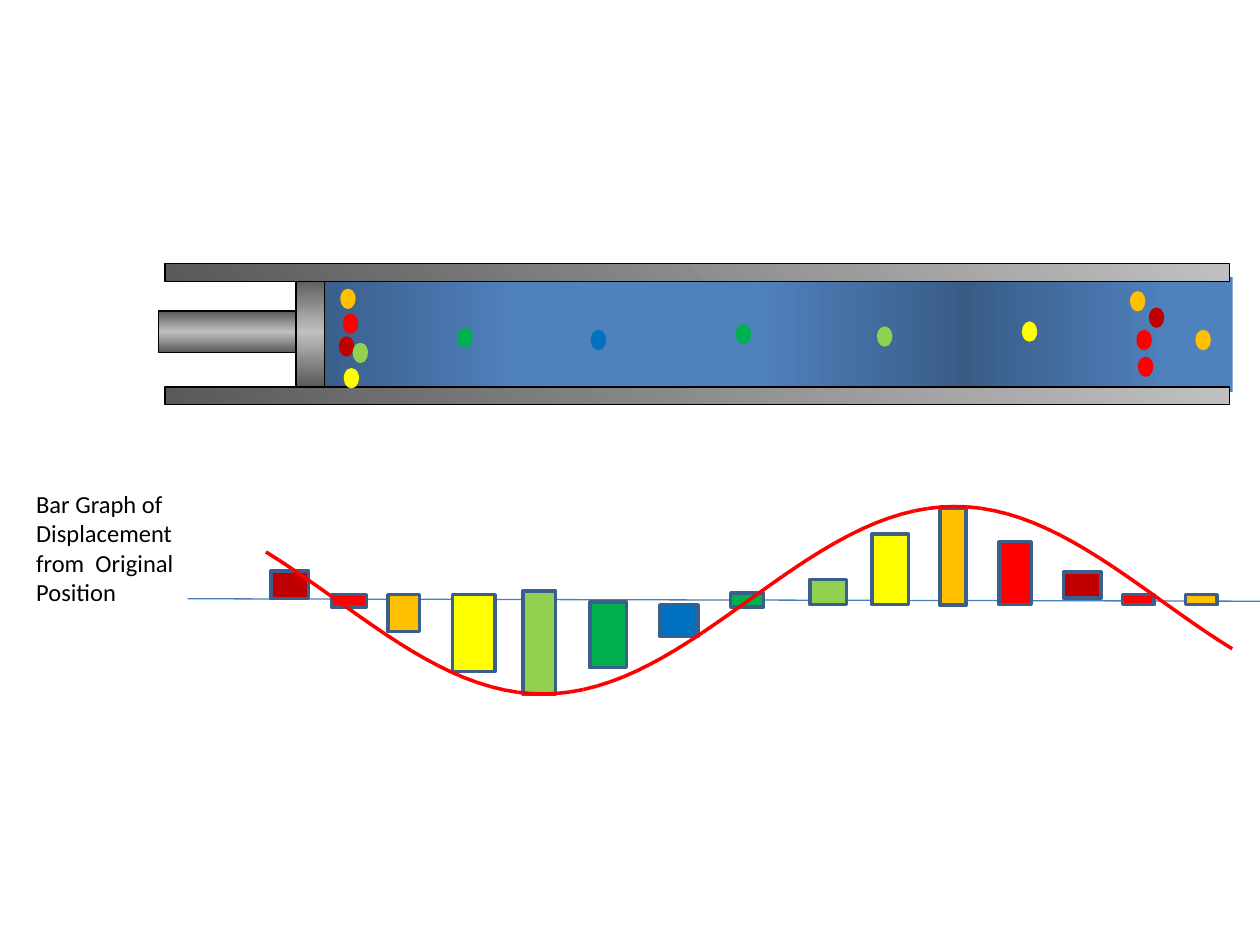
import math

import lxml.etree
import pptx
import pptx.dml.color
import pptx.enum.shapes
import pptx.enum.text
import pptx.oxml.ns
import pptx.util

Cm, Pt = pptx.util.Cm, pptx.util.Pt
RECT = pptx.enum.shapes.MSO_SHAPE.RECTANGLE
OVAL = pptx.enum.shapes.MSO_SHAPE.OVAL
qn = pptx.oxml.ns.qn

# Content: all positions and sizes in centimetres
CAPTION = "Bar Graph of Displacement from  Original Position"
CAPTION_BOX = (0.48, 9.73, 3.35, 2.64)

DARK_RED, RED, ORANGE, YELLOW = "C00000", "FF0000", "FFC000", "FFFF00"
LIME, GREEN, BLUE = "92D050", "00B050", "0070C0"
BLACK, WHITE, GAS, BAR_EDGE, AXIS = "000000", "FFFFFF", "4F81BD", "3A5F8C", "4B7EBC"

# Gradients: (stops, clockwise angle)
COMPRESSED = ([(0, GAS), (50, "395C87"), (100, GAS)], 0)
METAL = ([(0, "595959"), (50, "C0C0C0"), (100, "595959")], 90)
PLATE = ([(0, "595959"), (100, "C0C0C0")], 315)

# Tube parts, back to front: (box, fill, outline)
TUBE = [
    ((8.99, 5.64, 8.05, 2.31), GAS, None),
    ((1.96, 5.59, 8.48, 2.24), COMPRESSED, None),
    ((17.53, 5.59, 7.32, 2.31), GAS, None),
    ((15.29, 5.56, 8.31, 2.31), COMPRESSED, None),
    ((1.32, 5.56, 4.85, 2.26), WHITE, None),
    ((3.2, 6.27, 2.77, 0.84), METAL, BLACK),
    ((5.97, 5.59, 0.58, 2.21), METAL, BLACK),
    ((3.33, 7.8, 21.46, 0.36), PLATE, BLACK),
    ((3.33, 5.31, 21.46, 0.36), PLATE, BLACK),
]

# Bars from left to right: (left, top, width, height, colour)
BARS = [
    (5.46, 11.51, 0.76, 0.56, DARK_RED),
    (6.68, 11.99, 0.71, 0.25, RED),
    (7.82, 11.99, 0.64, 0.74, ORANGE),
    (9.12, 11.99, 0.86, 1.55, YELLOW),
    (10.54, 11.91, 0.66, 2.08, LIME),
    (11.89, 12.14, 0.74, 1.32, GREEN),
    (13.31, 12.19, 0.76, 0.64, BLUE),
    (14.73, 11.96, 0.66, 0.28, GREEN),
    (16.33, 11.68, 0.74, 0.51, LIME),
    (17.58, 10.77, 0.74, 1.42, YELLOW),
    (18.95, 10.24, 0.53, 1.96, ORANGE),
    (20.14, 10.92, 0.66, 1.27, RED),
    (21.44, 11.53, 0.76, 0.53, DARK_RED),
    (22.63, 11.99, 0.64, 0.2, RED),
    (23.9, 11.99, 0.64, 0.2, ORANGE),
]

# Particles: (left, top, colour)
DOT_SIZE = (0.31, 0.41)
DOTS = [
    (6.83, 6.78, DARK_RED), (6.91, 6.32, RED), (6.86, 5.82, ORANGE),
    (6.93, 7.42, YELLOW), (17.68, 6.58, LIME), (14.83, 6.53, GREEN),
    (22.94, 7.19, RED), (22.78, 5.87, ORANGE), (20.6, 6.48, YELLOW),
    (7.11, 6.91, LIME), (9.22, 6.6, GREEN), (11.91, 6.65, BLUE),
    (23.16, 6.2, DARK_RED), (22.91, 6.65, RED), (24.1, 6.65, ORANGE),
]

BASELINE = ((3.78, 12.07), (25.55, 12.12))

# Sine wave
WAVE_LEFT, WAVE_RIGHT, WAVE_PIECES = 5.36, 24.84, 73
WAVE_MIDDLE, WAVE_HEIGHT, WAVE_ZERO, WAVE_LENGTH = 12.1, 1.89, 6.79, 16.61


def rgb(value):
    return pptx.dml.color.RGBColor.from_string(value)


def fill_gradient(sp, stops, angle):
    sp.fill.gradient()
    grad = sp.fill._xPr.find(qn("a:gradFill"))
    for child in list(grad):
        grad.remove(child)
    stop_list = lxml.etree.SubElement(grad, qn("a:gsLst"))
    for position, color in stops:
        stop = lxml.etree.SubElement(stop_list, qn("a:gs"), pos=str(position * 1000))
        lxml.etree.SubElement(stop, qn("a:srgbClr"), val=color)
    lxml.etree.SubElement(grad, qn("a:lin"), ang=str(angle * 60000), scaled="0")


def add_part(shapes, kind, box, fill, line=None, width=0.75):
    sp = shapes.add_shape(kind, *map(Cm, box))
    sp.shadow.inherit = False
    if isinstance(fill, tuple):
        fill_gradient(sp, *fill)
    else:
        sp.fill.solid()
        sp.fill.fore_color.rgb = rgb(fill)
    if line:
        sp.line.color.rgb = rgb(line)
        sp.line.width = Pt(width)
    else:
        sp.line.fill.background()


def add_line(shapes, start, end, color, width):
    line = shapes.add_connector(
        pptx.enum.shapes.MSO_CONNECTOR.STRAIGHT, *map(Cm, (*start, *end)))
    line.line.color.rgb = rgb(color)
    line.line.width = Pt(width)
    lxml.etree.SubElement(line._element.spPr, qn("a:effectLst"))


def wave_point(i):
    x = WAVE_LEFT + i * (WAVE_RIGHT - WAVE_LEFT) / WAVE_PIECES
    phase = 2 * math.pi * (x - WAVE_ZERO) / WAVE_LENGTH
    return x, WAVE_MIDDLE + WAVE_HEIGHT * math.sin(phase)


prs = pptx.Presentation()
prs.slide_width, prs.slide_height = Cm(25.4), Cm(19.05)
s = prs.slides.add_slide(prs.slide_layouts[6])

# Tube with piston
for box, fill, line in TUBE:
    add_part(s.shapes, RECT, box, fill, line)

# Bar graph on its baseline
add_line(s.shapes, *BASELINE, AXIS, 0.75)
for *box, color in BARS:
    add_part(s.shapes, RECT, box, color, BAR_EDGE, 2)

# Particles
for left, top, color in DOTS:
    add_part(s.shapes, OVAL, (left, top, *DOT_SIZE), color)

# Wave as a group of short lines
wave = s.shapes.add_group_shape()
for i in range(WAVE_PIECES):
    add_line(wave.shapes, wave_point(i), wave_point(i + 1), RED, 0)

# Caption
tf = s.shapes.add_textbox(*map(Cm, CAPTION_BOX)).text_frame
tf.word_wrap = True
tf.auto_size = pptx.enum.text.MSO_AUTO_SIZE.SHAPE_TO_FIT_TEXT
tf.text = CAPTION
r = tf.paragraphs[0].runs[0]
r.font.name, r.font.size = "Calibri", Pt(14)
r.font.color.rgb = rgb(BLACK)

prs.save("out.pptx")
